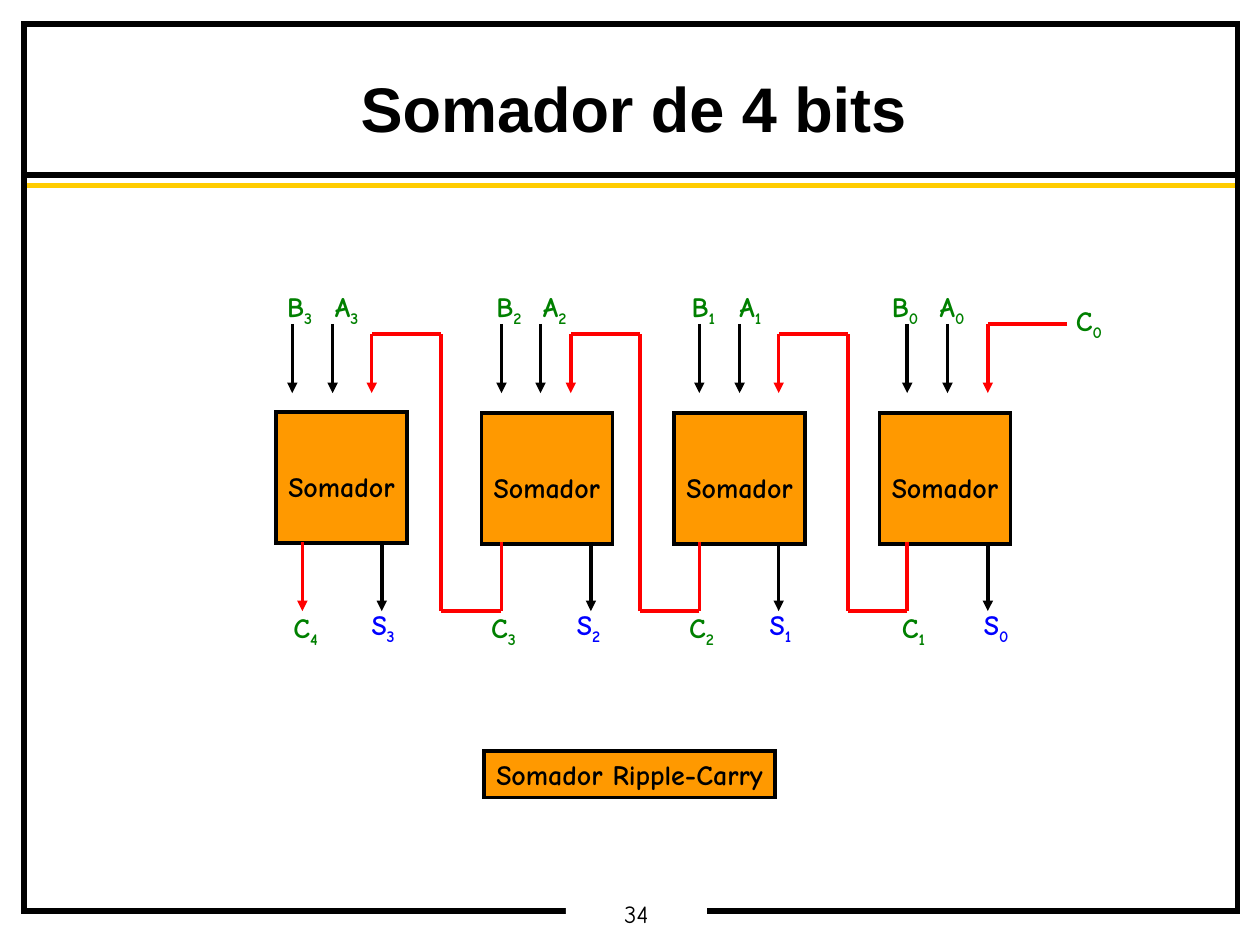
from dataclasses import dataclass
from lxml import etree
from pptx import Presentation
from pptx.dml.color import RGBColor
from pptx.enum.shapes import MSO_CONNECTOR, MSO_SHAPE
from pptx.enum.text import MSO_ANCHOR, PP_ALIGN
from pptx.oxml.ns import qn
from pptx.util import Pt

LINE, RECT = MSO_CONNECTOR.STRAIGHT, MSO_SHAPE.RECTANGLE
TOP, MID = MSO_ANCHOR.TOP, MSO_ANCHOR.MIDDLE
LEFT, CENTER = PP_ALIGN.LEFT, PP_ALIGN.CENTER
PX = 9144


@dataclass(frozen=True)
class Theme:
    ink: str = "000000"
    paper: str = "FFFFFF"
    gold: str = "FFCC00"
    block: str = "FF9900"
    carry: str = "FF0000"
    green: str = "008000"
    blue: str = "0000FF"
    head: str = "Arial"
    body: str = "Comic Neue"
    big: int = 36
    text: int = 16
    small: int = 14
    thick: int = 3
    thin: int = 2


T = Theme()
TITLE = "Somador de 4 bits"
NAME = "Somador"
NOTE = "Somador Ripple-Carry"
PAGE = "34"
SIDE = 104
IN_TOP, IN_END = 257, 312
OUT_TOP, OUT_END = 430, 485
BEND = 265

STAGES = [
    dict(bit=3, box=(219, 327), b=232, a=264, cin=295, out=240, s=303,
         tags=dict(B=218, A=256, S=285, C=223)),
    dict(bit=2, box=(382, 328), b=398, a=429, cin=453, out=398, s=469,
         tags=dict(B=384, A=421, S=448, C=380), turn=350),
    dict(bit=1, box=(535, 328), b=555, a=587, cin=618, out=555, s=618,
         tags=dict(B=539, A=577, S=601, C=537), turn=508),
    dict(bit=0, box=(698, 328), b=720, a=752, cin=784, out=720, s=784,
         tags=dict(B=698, A=736, S=771, C=706), turn=673),
]
TAGS = {
    "B": (225, T.green, 0),
    "A": (225, T.green, 0),
    "S": (477, T.blue, 0),
    "C": (480, T.green, 1),
}

deck = Presentation()
deck.slide_width, deck.slide_height = 1000 * PX, 750 * PX
slide = deck.slides.add_slide(deck.slide_layouts[6])
shapes = slide.shapes


def rgb(tone):
    return RGBColor.from_string(tone)


def wire(points, tone, width=T.thin, arrow=False):
    for start, end in zip(points, points[1:]):
        line = shapes.add_connector(LINE, *(v * PX for v in start + end))
        line.line.color.rgb = rgb(tone)
        line.line.width = Pt(width)
        etree.SubElement(line._element.spPr, qn("a:effectLst"))
    if arrow:
        pen = line.line._get_or_add_ln()
        etree.SubElement(pen, qn("a:tailEnd"), type="triangle")


def rect(area, fill=None, width=None):
    box = shapes.add_shape(RECT, *(v * PX for v in area))
    box.shadow.inherit = False
    if fill:
        box.fill.solid()
        box.fill.fore_color.rgb = rgb(fill)
    else:
        box.fill.background()
    if width:
        box.line.color.rgb = rgb(T.ink)
        box.line.width = Pt(width)
        pen = box.line._get_or_add_ln()
        etree.SubElement(pen, qn("a:miter"), lim="800000")
    else:
        box.line.fill.background()
    return box


def write(box, words, sub="", size=T.text, tone=T.ink, face=T.body, bold=True,
          align=LEFT, anchor=TOP, pads=(10, 5, 0, 5), wrap=False, space=1.0):
    frame = box.text_frame
    frame.word_wrap = wrap
    frame.vertical_anchor = anchor
    (frame.margin_left, frame.margin_top,
     frame.margin_right, frame.margin_bottom) = (v * PX for v in pads)
    para = frame.paragraphs[0]
    para.alignment = align
    para.line_spacing = space
    font = para.font
    font.name, font.size, font.bold = face, Pt(size), bold
    font.color.rgb = rgb(tone)
    para.add_run().text = words
    if sub:
        run = para.add_run()
        run.text = sub
        run._r.get_or_add_rPr().set("baseline", "-25000")


def label(area, words, **style):
    write(shapes.add_textbox(*(v * PX for v in area)), words, **style)


for y, tone in ((139, T.ink), (147, T.gold)):
    wire([(20, y), (984, y)], tone, T.thick)
rect((19, 19, 963, 704), width=T.thick)
write(rect((449, 713, 112, 27), T.paper), PAGE, size=T.small, bold=False,
      align=CENTER, pads=(7, 3, 7, 3), space=0.9)
label((270, 57, 466, 63), TITLE, size=T.big, face=T.head, align=CENTER,
      pads=(7, 3, 7, 3), wrap=True, space=0.95)

for stage in STAGES:
    write(rect((*stage["box"], SIDE, SIDE), T.block, T.thin), NAME,
          align=CENTER, anchor=MID, pads=(5, 19, 5, 5))

for left, stage in zip([None] + STAGES, STAGES):
    for x in (stage["b"], stage["a"]):
        wire([(x, IN_TOP), (x, IN_END)], T.ink, arrow=True)
    wire([(stage["s"], OUT_TOP), (stage["s"], OUT_END)], T.ink, arrow=True)
    path = [(stage["out"], OUT_TOP), (stage["out"], OUT_END)]
    if left:
        turn, goal = stage["turn"], left["cin"]
        path += [(turn, OUT_END), (turn, BEND), (goal, BEND), (goal, IN_END)]
    wire(path, T.carry, arrow=True)
    for sign, x in stage["tags"].items():
        y, tone, step = TAGS[sign]
        label((x, y, 39, 41), sign, sub=str(stage["bit"] + step), tone=tone)

last = STAGES[-1]["cin"]
wire([(847, IN_TOP), (last, IN_TOP), (last, IN_END)], T.carry, arrow=True)
label((844, 236, 40, 41), "C", sub="0", tone=T.green)
write(rect((384, 596, 231, 37), T.block, T.thin), NOTE)

deck.save("out.pptx")
